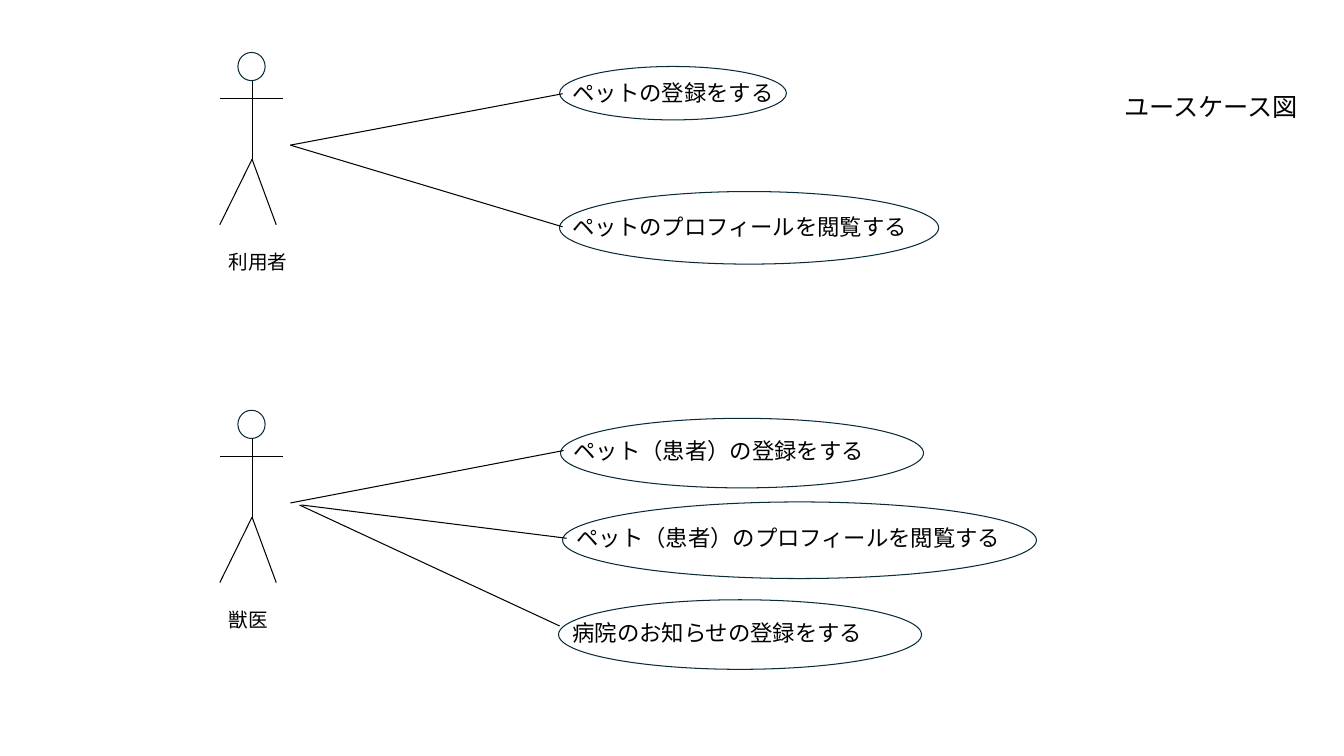
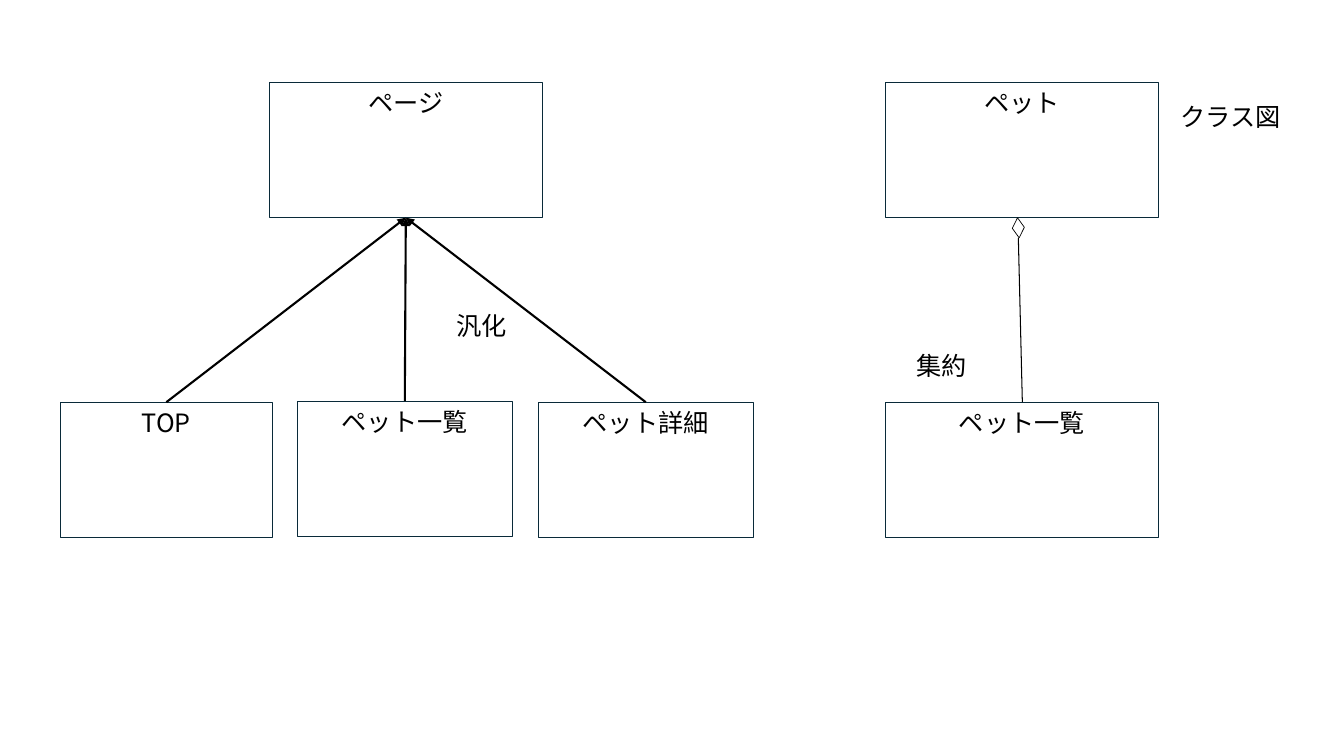
from dataclasses import dataclass

from lxml.etree import SubElement
from pptx import Presentation
from pptx.dml.color import RGBColor
from pptx.enum.shapes import MSO_CONNECTOR, MSO_SHAPE
from pptx.enum.text import MSO_ANCHOR, MSO_AUTO_SIZE, PP_ALIGN
from pptx.oxml.ns import qn
from pptx.util import Inches, Pt

# Shared style
FONT = "Noto Sans CJK JP"
BLACK = RGBColor(0x00, 0x00, 0x00)
WHITE = RGBColor(0xFF, 0xFF, 0xFF)
OUTLINE = RGBColor(0x09, 0x2A, 0x39)
Point = tuple[float, float]


@dataclass(frozen=True)
class Actor:
    name: str
    center: float
    top: float
    label_width: float


@dataclass(frozen=True)
class UseCase:
    text: str
    left: float
    top: float
    width: float
    height: float
    label: Point
    label_width: float
    line_start: Point
    line_end: Point


@dataclass(frozen=True)
class ClassBox:
    name: str
    left: float
    top: float
    width: float = 2.71
    height: float = 1.34


ACTORS = [
    Actor("利用者", 2.5, 0.52, 0.79),
    Actor("獣医", 2.5, 4.07, 0.59),
]
USE_CASES = [
    UseCase("ペットの登録をする", 5.55, 0.66, 2.25, 0.53,
            (5.58, 0.74), 2.22, (2.88, 1.44), (5.58, 0.93)),
    UseCase("ペットのプロフィールを閲覧する", 5.55, 1.9, 3.76, 0.72,
            (5.58, 2.07), 3.57, (2.88, 1.44), (5.58, 2.25)),
    UseCase("ペット（患者）の登録をする", 5.56, 4.15, 3.6, 0.69,
            (5.59, 4.29), 3.12, (2.88, 4.99), (5.59, 4.47)),
    UseCase("ペット（患者）のプロフィールを閲覧する", 5.58, 4.98, 4.7, 0.76,
            (5.62, 5.15), 4.47, (2.99, 5.01), (5.62, 5.34)),
    UseCase("病院のお知らせの登録をする", 5.54, 5.95, 3.6, 0.69,
            (5.58, 6.09), 3.12, (2.97, 5.01), (5.55, 6.21)),
]
PAGE_CLASS = ClassBox("ページ", 2.67, 0.82)
PAGE_KINDS = [
    ClassBox("TOP", 0.6, 3.99, 2.1),
    ClassBox("ペット一覧", 2.95, 3.98, 2.13),
    ClassBox("ペット詳細", 5.34, 3.99, 2.13),
]
PET_CLASS = ClassBox("ペット", 8.78, 0.82)
PET_LIST = ClassBox("ペット一覧", 8.78, 3.99)


def write_text(frame, text: str, *, size: float = 18, align=PP_ALIGN.LEFT) -> None:
    para = frame.paragraphs[0]
    para.alignment = align
    span = para.add_run()
    span.text = text
    span.font.size = Pt(size)
    span.font.name = FONT
    span.font.color.rgb = BLACK
    SubElement(span.font._element, qn("a:ea"), typeface=FONT)


def add_label(page, text: str, left: float, top: float, width: float,
              height: float = 0.4, *, size: float = 18) -> None:
    box = page.shapes.add_textbox(Inches(left), Inches(top), Inches(width), Inches(height))
    frame = box.text_frame
    frame.word_wrap = False
    frame.auto_size = MSO_AUTO_SIZE.SHAPE_TO_FIT_TEXT
    write_text(frame, text, size=size)


def add_outline(shapes, kind, left: float, top: float, width: float, height: float, *,
                color: RGBColor = OUTLINE, weight: float = 0.75):
    shape = shapes.add_shape(kind, Inches(left), Inches(top), Inches(width), Inches(height))
    shape.shadow.inherit = False
    shape.fill.solid()
    shape.fill.fore_color.rgb = WHITE
    shape.line.color.rgb = color
    shape.line.width = Pt(weight)
    return shape


def add_line(shapes, start: Point, end: Point, *, weight: float = 0.75, arrow: bool = False):
    line = shapes.add_connector(MSO_CONNECTOR.STRAIGHT, *map(Inches, start + end))
    line.line.color.rgb = BLACK
    line.line.width = Pt(weight)
    if arrow:
        SubElement(line.line._get_or_add_ln(), qn("a:tailEnd"), type="triangle")
    SubElement(line._element.spPr, qn("a:effectLst"))
    return line


def add_actor(page, actor: Actor) -> None:
    x, top = actor.center, actor.top
    neck, arms, hip, feet = top + 0.28, top + 0.46, top + 1.06, top + 1.71
    figure = page.shapes.add_group_shape().shapes
    add_outline(figure, MSO_SHAPE.OVAL, x - 0.14, top, 0.27, 0.28)
    for start, end in [
        ((x - 0.32, arms), (x + 0.31, arms)),
        ((x, neck), (x, hip)),
        ((x, hip), (x - 0.32, feet)),
        ((x, hip), (x + 0.24, feet)),
    ]:
        add_line(figure, start, end)
    add_label(page, actor.name, x - 0.33, top + 1.91, actor.label_width, 0.34, size=14)


def add_use_case(page, case: UseCase) -> None:
    add_outline(page.shapes, MSO_SHAPE.OVAL, case.left, case.top, case.width, case.height)
    add_label(page, case.text, *case.label, case.label_width, 0.37, size=16)
    add_line(page.shapes, case.line_start, case.line_end)


def add_class(page, item: ClassBox):
    box = add_outline(page.shapes, MSO_SHAPE.RECTANGLE,
                      item.left, item.top, item.width, item.height)
    box.text_frame.vertical_anchor = MSO_ANCHOR.TOP
    write_text(box.text_frame, item.name, align=PP_ALIGN.CENTER)
    return box


def build_use_case_page(page) -> None:
    for actor in ACTORS:
        add_actor(page, actor)
    for case in USE_CASES:
        add_use_case(page, case)
    add_label(page, "ユースケース図", 11.05, 0.86, 1.97)


def build_class_page(page) -> None:
    # Generalization
    parent = add_class(page, PAGE_CLASS)
    for kind in PAGE_KINDS:
        child = add_class(page, kind)
        arrow = add_line(page.shapes, (kind.left, kind.top), (4.02, 2.16),
                         weight=1.5, arrow=True)
        arrow.begin_connect(child, 0)
        arrow.end_connect(parent, 2)
    add_label(page, "汎化", 4.43, 3.03, 0.71)

    # Aggregation
    for item in (PET_CLASS, PET_LIST):
        add_class(page, item)
    diamond = add_outline(page.shapes, MSO_SHAPE.DIAMOND, 10, 2.2, 0.2, 0.12,
                          color=BLACK, weight=0.5)
    diamond.rotation = 85.2
    add_line(page.shapes, (10.14, 3.99), (10.1, 2.36))
    add_label(page, "集約", 8.99, 3.43, 0.71)
    add_label(page, "クラス図", 11.61, 0.96, 1.21)


def main() -> None:
    deck = Presentation()
    deck.slide_width, deck.slide_height = Inches(13.33), Inches(7.5)
    for build in (build_use_case_page, build_class_page):
        build(deck.slides.add_slide(deck.slide_layouts[6]))
    deck.save("out.pptx")


if __name__ == "__main__":
    main()
